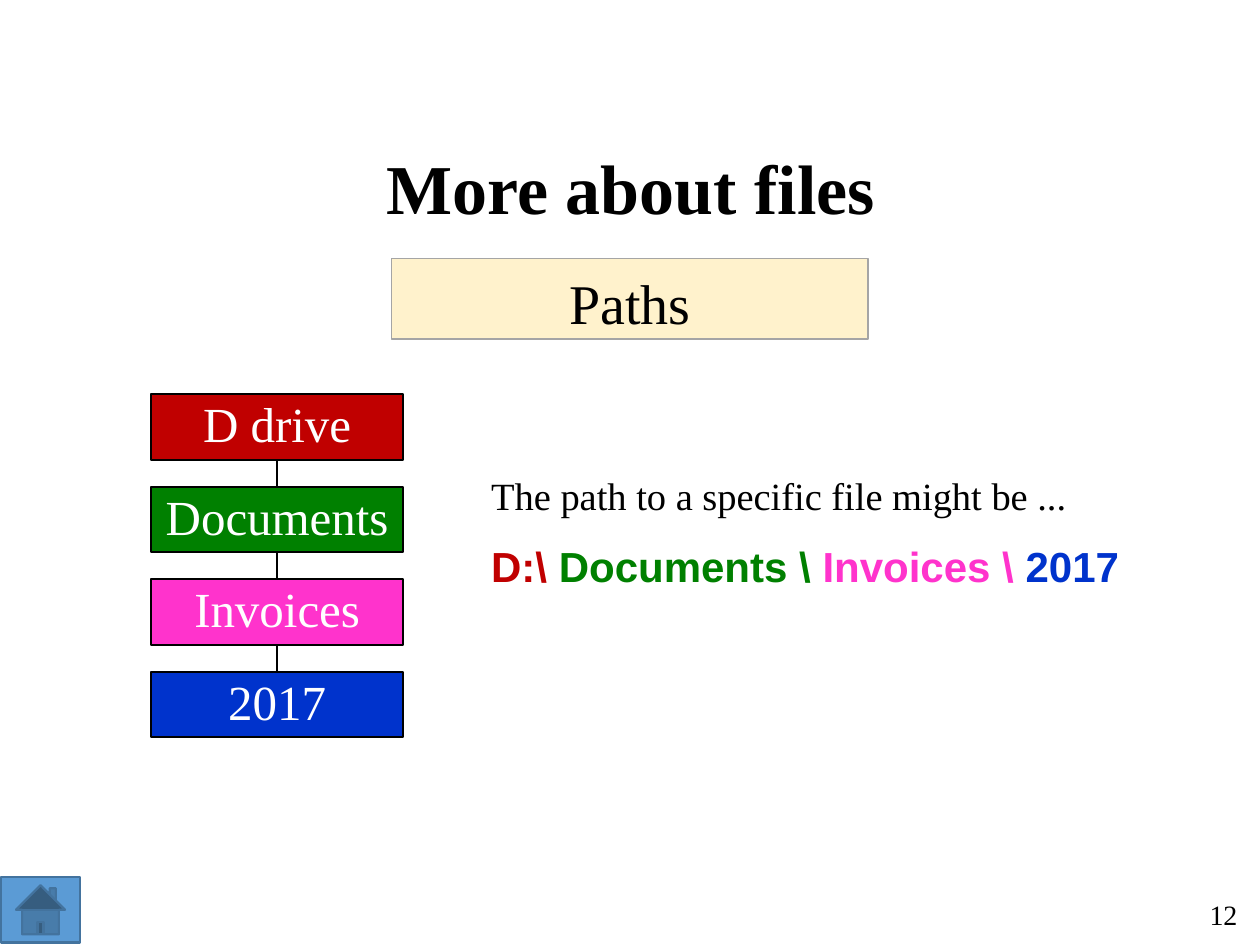
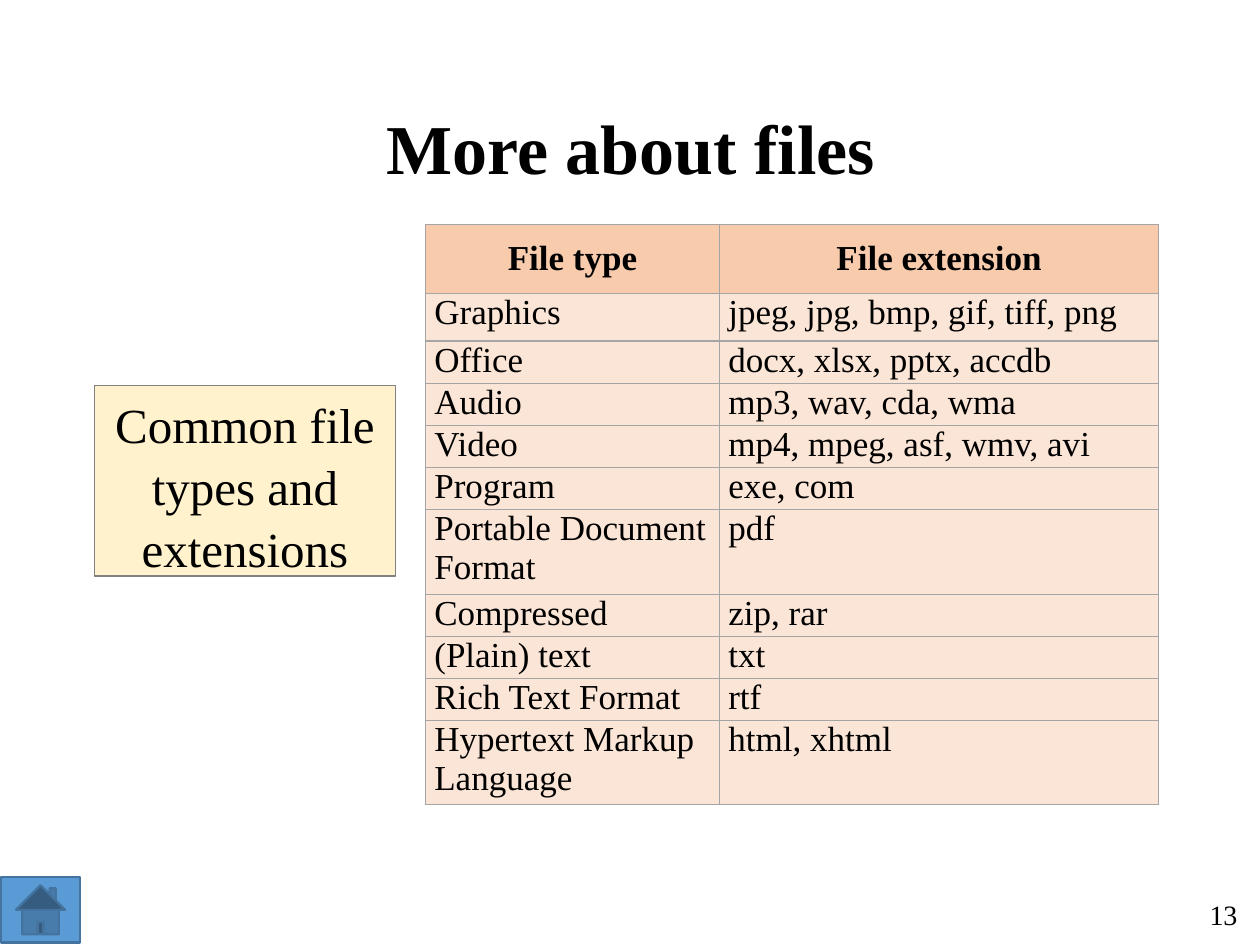
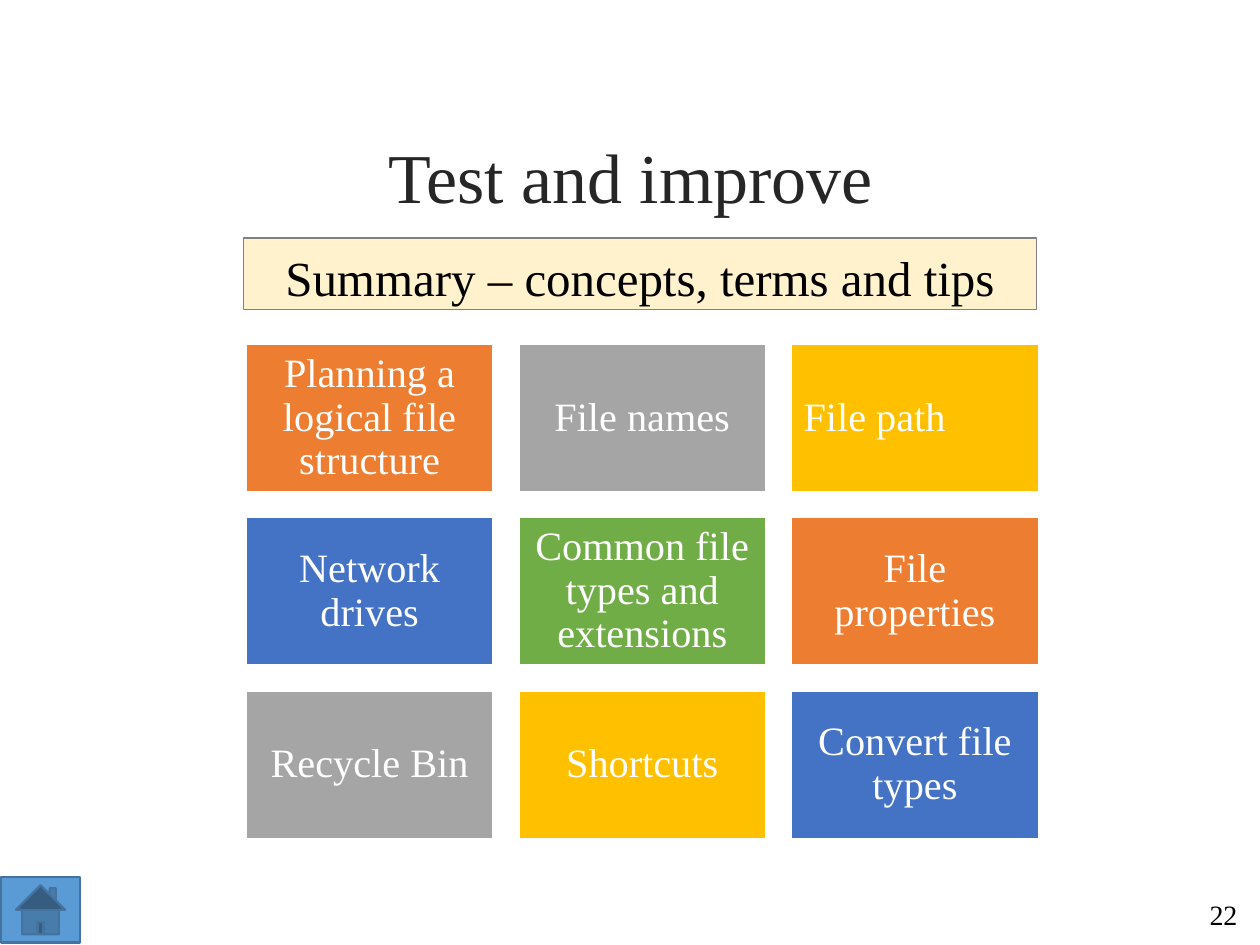
"""Builds three slides on file paths, file types and a topic summary."""
from lxml import etree
from pptx import Presentation
from pptx.dml.color import RGBColor
from pptx.enum.shapes import MSO_CONNECTOR, MSO_SHAPE
from pptx.enum.text import MSO_ANCHOR, PP_ALIGN
from pptx.oxml.ns import qn
from pptx.util import Pt

LEFT, CENTER, RIGHT = PP_ALIGN.LEFT, PP_ALIGN.CENTER, PP_ALIGN.RIGHT
TOP, MIDDLE = MSO_ANCHOR.TOP, MSO_ANCHOR.MIDDLE
RECT, HOME = MSO_SHAPE.RECTANGLE, MSO_SHAPE.ACTION_BUTTON_HOME
STRAIGHT = MSO_CONNECTOR.STRAIGHT

SERIF, SANS = "Times New Roman", "Arial"
BLACK, WHITE, INK = "000000", "FFFFFF", "262626"
CREAM, GRAY, MID_GRAY = "FFF2CC", "A5A5A5", "808080"
RED, GREEN, PINK, NAVY = "C00000", "008000", "FF33CC", "0033CC"
ORANGE, GOLD, BLUE, LEAF = "ED7D31", "FFC000", "4472C4", "70AD47"
BUTTON, BUTTON_LINE = "5B9BD5", "43739E"
HEAD_FILL, BODY_FILL = "F8CBAD", "FBE5D6"
LOOSE, TIGHT = 1.05, 0.9

FOLDERS = [("D drive", RED), ("Documents", GREEN), ("Invoices", PINK), ("2017", NAVY)]
PATH_PARTS = [("D:\\ ", RED), ("Documents \\ ", GREEN), ("Invoices \\ ", PINK), ("2017", NAVY)]

FILE_TYPES = [
    ("File type", "File extension", 39.5),
    ("Graphics", "jpeg, jpg, bmp, gif, tiff, png", 27.2),
    ("Office", "docx, xlsx, pptx, accdb", 24),
    ("Audio", "mp3, wav, cda, wma", 24),
    ("Video", "mp4, mpeg, asf, wmv, avi", 24),
    ("Program", "exe, com", 24),
    ("Portable Document Format", "pdf", 48.6),
    ("Compressed", "zip, rar", 24),
    ("(Plain) text", "txt", 24),
    ("Rich Text Format", "rtf", 24),
    ("Hypertext Markup Language", "html, xhtml", 48),
]
TYPE_COLS = [168, 251]

TOPICS = [
    ("Planning a logical file structure", ORANGE, CENTER),
    ("File names", GRAY, CENTER),
    ("File path", GOLD, LEFT),
    ("Network drives", BLUE, CENTER),
    ("Common file types and extensions", LEAF, CENTER),
    ("File properties", ORANGE, CENTER),
    ("Recycle Bin", GRAY, CENTER),
    ("Shortcuts", GOLD, CENTER),
    ("Convert file types", BLUE, CENTER),
]


def rgb(hex_color):
    return RGBColor.from_string(hex_color)


def write(tf, runs, size, align=LEFT, anchor=TOP, font=SERIF, bold=False, spacing=1.0):
    tf.word_wrap = True
    tf.vertical_anchor = anchor
    p = tf.paragraphs[0]
    p.alignment = align
    p.line_spacing = spacing
    for text, color in runs:
        r = p.add_run()
        r.text = text
        r.font.size = Pt(size)
        r.font.name = font
        r.font.bold = bold
        r.font.color.rgb = rgb(color)


def add_text(s, box, runs, size, **style):
    sp = s.shapes.add_textbox(*map(Pt, box))
    write(sp.text_frame, runs, size, **style)


def add_box(s, box, fill, line, width, kind=RECT):
    sp = s.shapes.add_shape(kind, *map(Pt, box))
    sp.shadow.inherit = False
    sp.fill.solid()
    sp.fill.fore_color.rgb = rgb(fill)
    sp.line.color.rgb = rgb(line)
    sp.line.width = Pt(width)
    return sp


def add_banner(s, box, text, size, line=MID_GRAY):
    sp = add_box(s, box, CREAM, line, 0.75)
    write(sp.text_frame, [(text, BLACK)], size, align=CENTER, spacing=LOOSE)


def add_tile(s, box, text, fill, line, size, inset, align=CENTER):
    tf = add_box(s, box, fill, line, 1.25).text_frame
    tf.margin_left = tf.margin_right = tf.margin_top = tf.margin_bottom = Pt(inset)
    write(tf, [(text, WHITE)], size, align=align, anchor=MIDDLE, spacing=TIGHT)


def add_link(s, x, top, bottom):
    cn = s.shapes.add_connector(STRAIGHT, Pt(x), Pt(top), Pt(x), Pt(bottom))
    cn.line.color.rgb = rgb(BLACK)
    cn.line.width = Pt(1.25)
    etree.SubElement(cn._element.spPr, qn("a:effectLst"))


def set_borders(cell, color, width):
    tcPr = cell._tc.get_or_add_tcPr()
    for i, side in enumerate(("a:lnL", "a:lnR", "a:lnT", "a:lnB")):
        ln = etree.Element(qn(side), w=str(Pt(width)))
        fill = etree.SubElement(ln, qn("a:solidFill"))
        etree.SubElement(fill, qn("a:srgbClr"), val=color)
        tcPr.insert(i, ln)


def new_slide(prs, title, title_top, number, color=BLACK, bold=True):
    s = prs.slides.add_slide(prs.slide_layouts[6])
    add_text(s, (93, title_top, 535, 56.5), [(title, color)], 40,
             align=CENTER, anchor=MIDDLE, bold=bold)
    add_text(s, (662, 511.2, 52.2, 23), [(number, BLACK)], 16, align=RIGHT, anchor=MIDDLE)
    add_box(s, (0.8, 501.2, 44.8, 37.4), BUTTON, BUTTON_LINE, 1.25, HOME)
    return s


def paths_slide(prs):
    s = new_slide(prs, "More about files", 78.5, "12")
    add_banner(s, (223.8, 147.8, 272.2, 46), "Paths", 32, GRAY)
    add_text(s, (273.6, 265, 361.4, 33.8),
             [("The path to a specific file might be ...", BLACK)], 22, spacing=LOOSE)
    add_text(s, (273.6, 304, 384.5, 36), PATH_PARTS, 24, font=SANS, bold=True, spacing=LOOSE)
    left, top, width, height, pitch = 86.4, 225.2, 144, 37.5, 52.9
    for i, (name, color) in enumerate(FOLDERS):
        y = top + i * pitch
        if i:
            add_link(s, left + width / 2, y - pitch + height, y)
        add_tile(s, (left, y, width, height), name, color, BLACK, 28, 1.4)


def types_slide(prs):
    s = new_slide(prs, "More about files", 55.4, "13")
    add_banner(s, (54, 220.3, 172, 108.9), "Common file types and extensions", 28)
    box = (243.2, 128.2, sum(TYPE_COLS), sum(row[-1] for row in FILE_TYPES))
    tbl = s.shapes.add_table(len(FILE_TYPES), len(TYPE_COLS), *map(Pt, box)).table
    for col, width in zip(tbl.columns, TYPE_COLS):
        col.width = Pt(width)
    for i, (*texts, height) in enumerate(FILE_TYPES):
        tbl.rows[i].height = Pt(height)
        head = i == 0
        for j, text in enumerate(texts):
            cell = tbl.cell(i, j)
            cell.margin_left = cell.margin_right = Pt(5)
            cell.margin_top = cell.margin_bottom = Pt(0)
            cell.fill.solid()
            cell.fill.fore_color.rgb = rgb(HEAD_FILL if head else BODY_FILL)
            write(cell.text_frame, [(text, BLACK)], 20, align=CENTER if head else LEFT, bold=head)
            cell.vertical_anchor = MIDDLE if head else TOP
            set_borders(cell, GRAY, 0.75)


def summary_slide(prs):
    s = new_slide(prs, "Test and improve", 72, "22", INK, False)
    add_banner(s, (139, 136, 453.4, 41), "Summary – concepts, terms and tips", 28)
    left, top, width, height, gap = 140.6, 196.6, 141.4, 84.6, 14.4
    for i, (text, color, align) in enumerate(TOPICS):
        row, col = divmod(i, 3)
        box = (left + col * (width + gap), top + row * (height + gap), width, height)
        add_tile(s, box, text, color, WHITE, 23, 7, align)


def main():
    prs = Presentation()
    prs.slide_width, prs.slide_height = Pt(720), Pt(540)
    paths_slide(prs)
    types_slide(prs)
    summary_slide(prs)
    prs.save("out.pptx")


if __name__ == "__main__":
    main()
